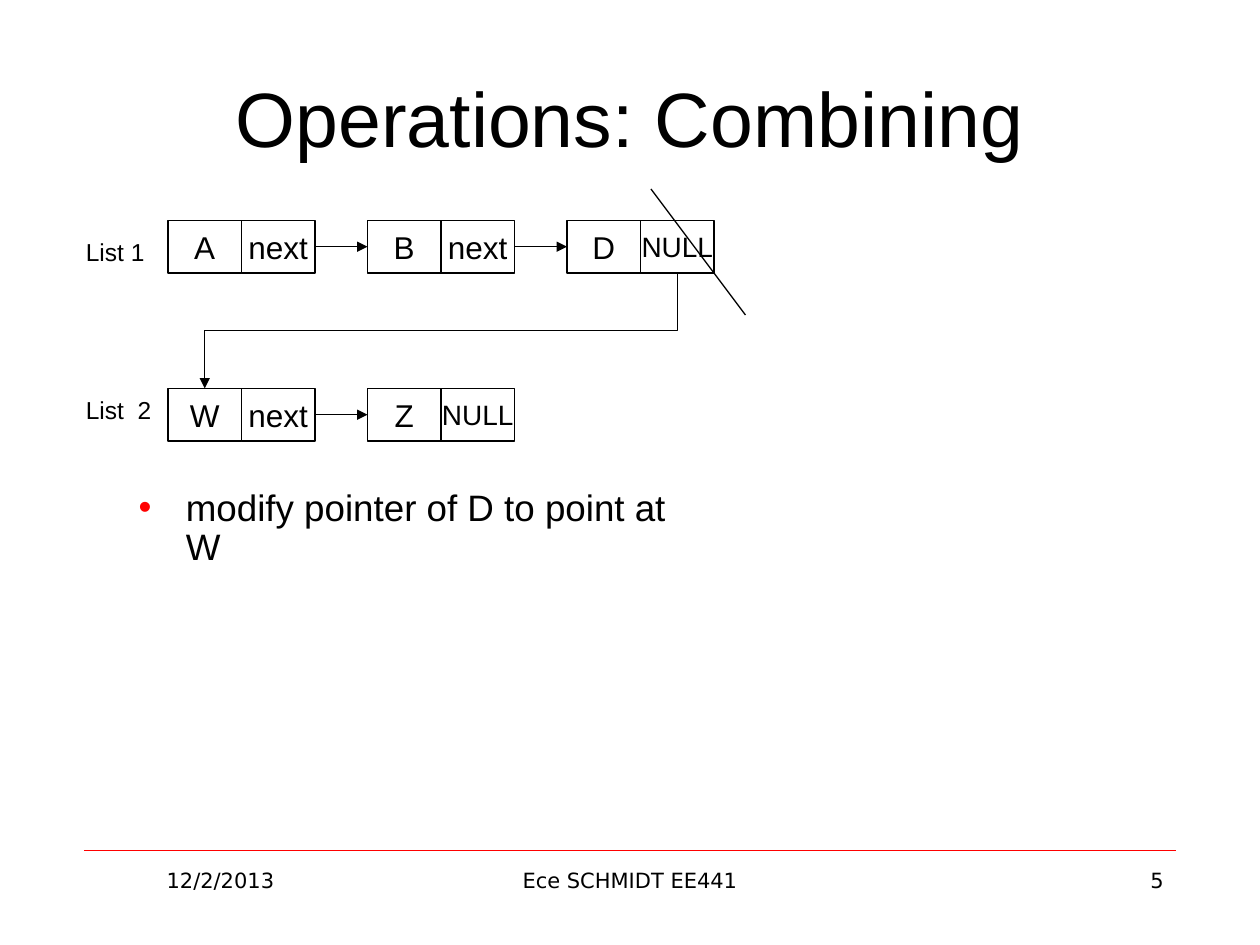
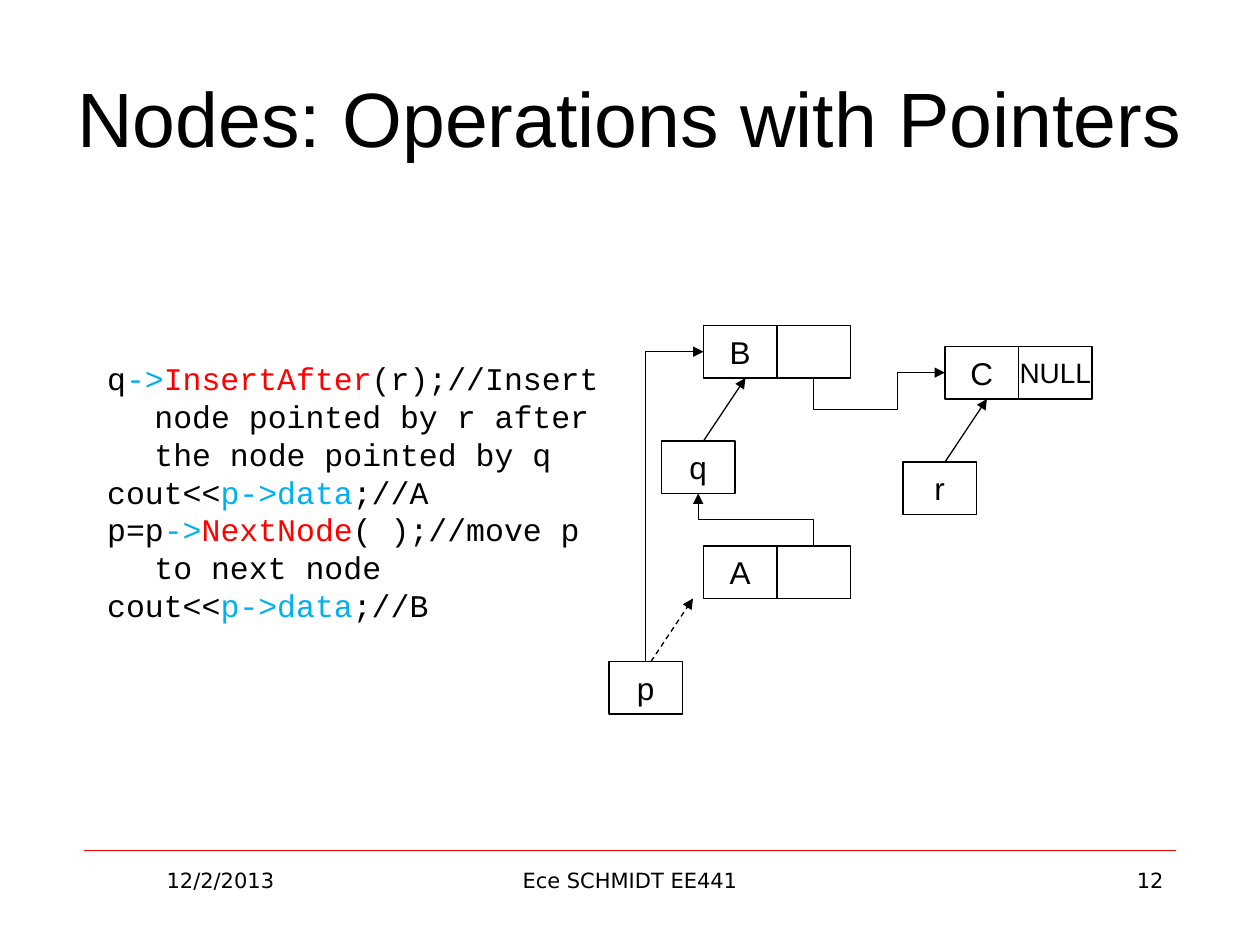
"""Build two slides on linked lists: combining lists and node pointers."""
from lxml import etree
from pptx import Presentation
from pptx.dml.color import RGBColor
from pptx.enum.dml import MSO_LINE
from pptx.enum.shapes import MSO_CONNECTOR, MSO_SHAPE
from pptx.enum.text import MSO_ANCHOR, MSO_AUTO_SIZE, PP_ALIGN
from pptx.oxml.ns import qn
from pptx.util import Pt

BLACK = RGBColor(0x00, 0x00, 0x00)
RED = RGBColor(0xFF, 0x00, 0x00)
BLUE = RGBColor(0x00, 0xB0, 0xF0)
LEFT, CENTER, RIGHT = PP_ALIGN.LEFT, PP_ALIGN.CENTER, PP_ALIGN.RIGHT
TOP, MIDDLE = MSO_ANCHOR.TOP, MSO_ANCHOR.MIDDLE
STRAIGHT, ELBOW = MSO_CONNECTOR.STRAIGHT, MSO_CONNECTOR.ELBOW
RECT, DASH, FIXED = MSO_SHAPE.RECTANGLE, MSO_LINE.DASH, MSO_AUTO_SIZE.NONE
SANS, MONO, SMALL = "Arial", "Courier New", "DejaVu Sans"
CELL_W, CELL_H = 42, 30
STEP = 2 * CELL_W + 30
INDENT = 27


def assign(item, values):
    """Set each attribute of item from a dict."""
    for name, value in values.items():
        setattr(item, name, value)


def place(shape, box):
    """Move a shape to a box given in points."""
    assign(shape, dict(zip(("left", "top", "width", "height"), map(Pt, box))))


def add(parent, tag, **values):
    """Append a drawing element with attributes."""
    node = etree.SubElement(parent, qn("a:" + tag))
    for name, value in values.items():
        node.set(name, str(value))
    return node


def write(par, runs, size, font=SANS, align=LEFT):
    """Fill a paragraph with pairs of text and colour."""
    par.alignment = align
    for text, color in runs:
        run = par.add_run()
        run.text = text
        assign(run.font, {"size": Pt(size), "name": font})
        run.font.color.rgb = color


def label(slide, box, text, size, font=SANS, align=LEFT):
    """Add a one-line text box."""
    shape = slide.shapes.add_textbox(*map(Pt, box))
    shape.text_frame.word_wrap = True
    write(shape.text_frame.paragraphs[0], [(text, BLACK)], size, font, align)


def style(line, color=BLACK, width=0.75, arrow=True, dash=None):
    """Format a connector and drop its shadow."""
    line.line.color.rgb = color
    assign(line.line, {"width": Pt(width), "dash_style": dash})
    frame = line._element.spPr
    if arrow:
        add(frame.find(qn("a:ln")), "tailEnd", type="triangle")
    add(frame, "effectLst")


def link(slide, start, end, **look):
    """Draw a straight line between two points."""
    line = slide.shapes.add_connector(STRAIGHT, *map(Pt, (*start, *end)))
    style(line, **look)


def bend(slide, start, end, kind=3, turns=()):
    """Draw an elbow arrow that leaves its start vertically."""
    (x1, y1), (x2, y2) = start, end
    mid_x, mid_y = (x1 + x2) / 2, (y1 + y2) / 2
    half_w, half_h = (y2 - y1) / 2, (x1 - x2) / 2
    ends = (mid_x - half_w, mid_y - half_h, mid_x + half_w, mid_y + half_h)
    line = slide.shapes.add_connector(ELBOW, *map(Pt, ends))
    frame = line._element.spPr
    frame.find(qn("a:xfrm")).set("rot", "5400000")
    shape = frame.find(qn("a:prstGeom"))
    shape.set("prst", f"bentConnector{kind}")
    for i, turn in enumerate(turns, 1):
        add(shape.find(qn("a:avLst")), "gd", name=f"adj{i}",
            fmla=f"val {round(turn * 100000)}")
    style(line)


def cell(shapes, x, y, text):
    """Draw one outlined cell with centred text."""
    box = shapes.add_shape(RECT, *map(Pt, (x, y, CELL_W, CELL_H)))
    box.shadow.inherit = False
    box.fill.background()
    box.line.color.rgb = BLACK
    box.line.width = Pt(0.75)
    assign(box.text_frame, {"word_wrap": False, "vertical_anchor": MIDDLE})
    if text:
        size = 16 if text == "NULL" else 18
        write(box.text_frame.paragraphs[0], [(text, BLACK)], size,
              align=CENTER)


def node(slide, x, y, data, link_text=""):
    """Group a data cell and a pointer cell."""
    group = slide.shapes.add_group_shape()
    for i, text in enumerate((data, link_text)):
        cell(group.shapes, x + i * CELL_W, y, text)


def chain(slide, x, y, names):
    """Draw a list of linked nodes that ends in NULL."""
    last = len(names) - 1
    mid = y + CELL_H / 2
    for i, name in enumerate(names):
        left = x + i * STEP
        node(slide, left, y, name, "NULL" if i == last else "next")
        if i < last:
            link(slide, (left + 2 * CELL_W, mid), (left + STEP, mid))


def handle(slide, x, y, name, dash=None):
    """Draw a pointer variable and its slanted arrow."""
    cell(slide.shapes, x, y, name)
    link(slide, (x + 24, y), (x + 48, y - 36), dash=dash)


def body(slide, box, lines, size, font, bullet=False, inset=3.6, pitch=1.0):
    """Fill the body placeholder with hanging paragraphs."""
    shape = slide.placeholders[1]
    place(shape, box)
    frame = shape.text_frame
    assign(frame, {"auto_size": FIXED, "word_wrap": True,
                   "vertical_anchor": TOP, "margin_top": Pt(inset)})
    for i, runs in enumerate(lines):
        par = frame.add_paragraph() if i else frame.paragraphs[0]
        assign(par, {"line_spacing": pitch, "space_before": Pt(0)})
        write(par, runs, size, font)
        props = par._p.get_or_add_pPr()
        props.set("marL", str(Pt(INDENT)))
        props.set("indent", str(Pt(-INDENT)))
        if bullet:
            add(add(props, "buClr"), "srgbClr", val=RED)
            add(props, "buFont", typeface=SANS)
            add(props, "buChar", char="\u2022")
        else:
            add(props, "buNone")


def page(deck, title, number):
    """Add a slide with its title, rule and footer."""
    slide = deck.slides.add_slide(deck.slide_layouts[1])
    head = slide.shapes.title
    place(head, (36, 21.6, 648, 90))
    assign(head.text_frame, {"auto_size": FIXED, "vertical_anchor": MIDDLE})
    write(head.text_frame.paragraphs[0], [(title, BLACK)], 44, align=CENTER)
    link(slide, (48, 486), (672, 486), color=RED, width=0.25, arrow=False)
    for x, width, text, align in ((48, 156, "12/2/2013", CENTER),
                                  (246, 228, "Ece SCHMIDT EE441", CENTER),
                                  (516, 156, str(number), RIGHT)):
        label(slide, (x, 492, width, 37.5), text, 12, SMALL, align)
    return slide


def lists(slide, x, y):
    """Draw two lists, with the first joined to the second."""
    left, first, second = x + 54, y + 18, y + 114
    chain(slide, left, first, "ABD")
    chain(slide, left, second, "WZ")
    label(slide, (x, y + 24, 66, 24), "List 1", 14)
    label(slide, (x, second, 66, 24), "List  2", 14)
    link(slide, (x + 330, y), (x + 384, y + 72), arrow=False)
    bend(slide, (left + 2 * STEP + 1.5 * CELL_W, first + CELL_H),
         (left + CELL_W / 2, second))


def pointers(slide, x, y):
    """Draw nodes A, B and C with the pointers p, q and r."""
    left, low = x + 54, y + 126
    right, high = x + 192, y + 12
    out = left + 1.5 * CELL_W
    node(slide, left, y, "B")
    node(slide, left, low, "A")
    node(slide, right, high, "C", "NULL")
    handle(slide, left - 24, y + 66, "q")
    handle(slide, right - 24, high + 66, "r")
    handle(slide, x, low + 66, "p", DASH)
    bend(slide, (out, low), (left - 24 + CELL_W / 2, y + 66 + CELL_H))
    bend(slide, (out, y + CELL_H), (right, high + CELL_H / 2), 4, (-6, 0.64))
    bend(slide, (x + CELL_W / 2, low + 66), (left, y + CELL_H / 2), 2)


def show(name):
    """Return the runs of a line that prints a node's data."""
    return [("cout<<", BLACK), ("p->data", BLUE), (f";//{name}", BLACK)]


def call(start, method, rest):
    """Return the runs of a line that calls a method."""
    return [(start, BLACK), ("->", BLUE), (method, RED), (rest, BLACK)]


CODE = [
    call("q", "InsertAfter",
         "(r);//Insert node pointed by r after the node pointed by q"),
    show("A"),
    call("p=p", "NextNode", "( );//move p to next node"),
    show("B"),
]


def main():
    """Build and save the deck."""
    deck = Presentation()
    assign(deck, {"slide_width": Pt(720), "slide_height": Pt(540)})
    slide = page(deck, "Operations: Combining", 5)
    body(slide, (72, 276, 336, 72),
         [[("modify pointer of D to point at W", BLACK)]], 21, SANS,
         bullet=True, pitch=0.9)
    lists(slide, 42, 108)
    slide = page(deck, "Nodes: Operations with Pointers", 12)
    body(slide, (54, 180, 300, 216), CODE, 18, MONO, inset=25.2)
    pointers(slide, 348, 186)
    deck.save("out.pptx")


main()
